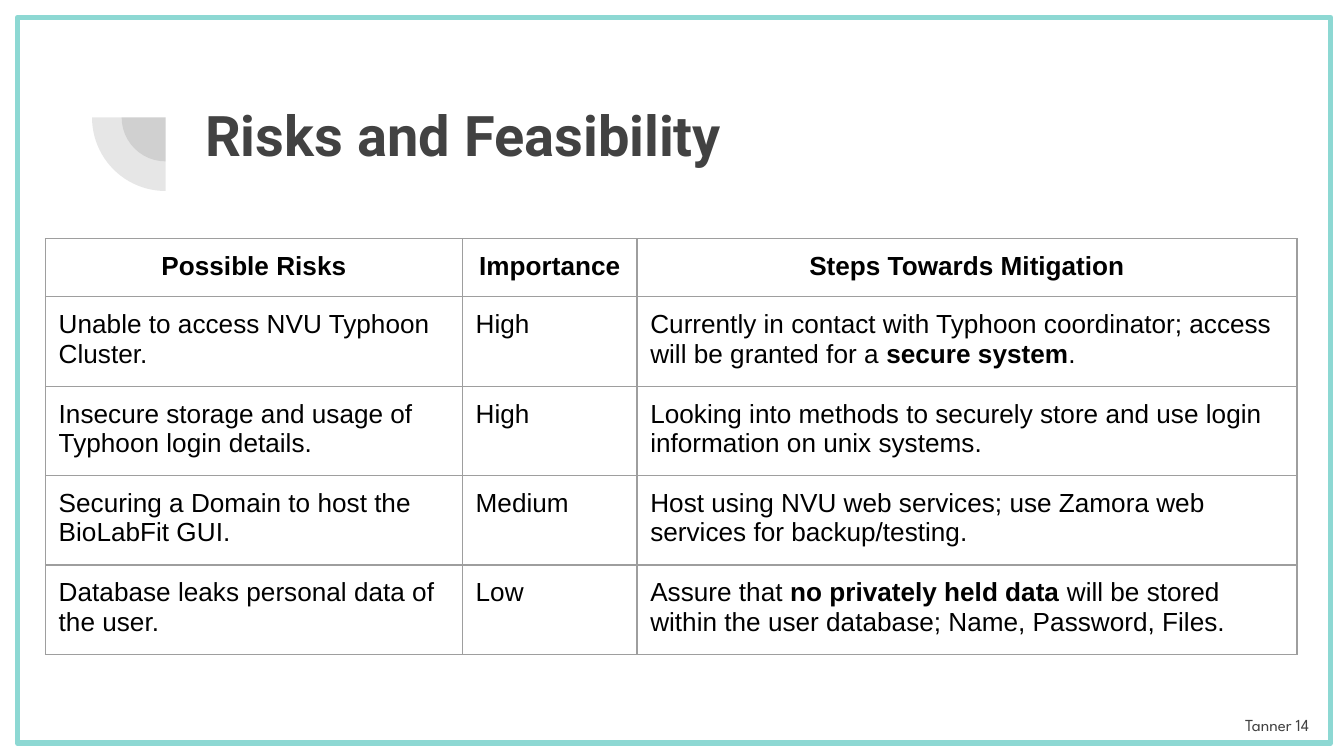
import pptx
import pptx.dml.color
import pptx.enum.shapes
import pptx.enum.text
import pptx.oxml.ns
import pptx.util
from lxml import etree

Cm = pptx.util.Cm
Pt = pptx.util.Pt
SHAPES = pptx.enum.shapes.MSO_SHAPE
ALIGN = pptx.enum.text.PP_ALIGN
ANCHOR = pptx.enum.text.MSO_ANCHOR
qn = pptx.oxml.ns.qn


def color(hex_text):
    return pptx.dml.color.RGBColor.from_string(hex_text)


class SlideBuilder:
    DARK = "424242"
    BLACK = "000000"
    TEAL = "8DD8D3"
    GRID = "9E9E9E"
    INSET = Cm(0.25)

    def __init__(self, slide):
        self.slide = slide

    def frame(self, left, top, width, height):
        shape = self.slide.shapes.add_shape(
            SHAPES.RECTANGLE, Cm(left), Cm(top), Cm(width), Cm(height))
        shape.shadow.inherit = False
        shape.fill.background()
        shape.line.color.rgb = color(self.TEAL)
        shape.line.width = Pt(3)

    def quarter(self, center_x, center_y, radius):
        shape = self.slide.shapes.add_shape(
            SHAPES.PIE, Cm(center_x - radius), Cm(center_y - radius),
            Cm(2 * radius), Cm(2 * radius))
        shape.shadow.inherit = False
        shape.adjustments[0] = 108
        shape.adjustments[1] = 162
        shape.rotation = 270
        shape.line.fill.background()
        shape.fill.solid()
        shape.fill.fore_color.rgb = color(self.DARK)
        rgb = shape.fill._xPr.find(".//" + qn("a:srgbClr"))
        etree.SubElement(rgb, qn("a:alpha"), val="13000")

    def add_runs(self, paragraph, runs, size, font, hex_text):
        for text, bold in runs:
            run = paragraph.add_run()
            run.text = text
            run.font.size = Pt(size)
            run.font.name = font
            run.font.bold = bold
            run.font.color.rgb = color(hex_text)

    def text(self, left, top, width, height, runs, size, font,
             align=ALIGN.LEFT, anchor=ANCHOR.TOP):
        shape = self.slide.shapes.add_textbox(
            Cm(left), Cm(top), Cm(width), Cm(height))
        text_frame = shape.text_frame
        text_frame.word_wrap = True
        text_frame.vertical_anchor = anchor
        text_frame.margin_left = text_frame.margin_right = self.INSET
        text_frame.margin_top = text_frame.margin_bottom = self.INSET
        paragraph = text_frame.paragraphs[0]
        paragraph.alignment = align
        self.add_runs(paragraph, runs, size, font, self.DARK)

    def cell_borders(self, cell):
        properties = cell._tc.get_or_add_tcPr()
        for side in ("a:lnL", "a:lnR", "a:lnT", "a:lnB"):
            line = etree.SubElement(properties, qn(side), w=str(Pt(0.75)))
            fill = etree.SubElement(line, qn("a:solidFill"))
            etree.SubElement(fill, qn("a:srgbClr"), val=self.GRID)

    def table(self, left, top, widths, heights, rows):
        table = self.slide.shapes.add_table(
            len(rows), len(widths), Cm(left), Cm(top),
            Cm(sum(widths)), Cm(sum(heights))).table
        table.first_row = table.horz_banding = False
        for column, width in zip(table.columns, widths):
            column.width = Cm(width)
        for row, height in zip(table.rows, heights):
            row.height = Cm(height)
        for row_index, row in enumerate(rows):
            for column_index, runs in enumerate(row):
                cell = table.cell(row_index, column_index)
                cell.margin_left = cell.margin_right = self.INSET
                cell.margin_top = cell.margin_bottom = self.INSET
                self.cell_borders(cell)
                cell.fill.background()
                paragraph = cell.text_frame.paragraphs[0]
                paragraph.alignment = ALIGN.LEFT if row_index else ALIGN.CENTER
                self.add_runs(paragraph, runs, 14, "Arial", self.BLACK)


def plain(text):
    return [(text, False)]


def strong(text):
    return [(text, True)]


RISKS = [
    [strong("Possible Risks"), strong("Importance"),
     strong("Steps Towards Mitigation")],
    [plain("Unable to access NVU Typhoon Cluster."), plain("High"),
     plain("Currently in contact with Typhoon coordinator; access will be "
           "granted for a ") + strong("secure system") + plain(".")],
    [plain("Insecure storage and usage of Typhoon login details."),
     plain("High"),
     plain("Looking into methods to securely store and use login information "
           "on unix systems.")],
    [plain("Securing a Domain to host the BioLabFit GUI."), plain("Medium"),
     plain("Host using NVU web services; use Zamora web services for "
           "backup/testing.")],
    [plain("Database leaks personal data of the user."), plain("Low"),
     plain("Assure that ") + strong("no privately held data")
     + plain(" will be stored within the user database; Name, Password, "
             "Files.")],
]


def main():
    presentation = pptx.Presentation()
    presentation.slide_width = Cm(25.4)
    presentation.slide_height = Cm(14.29)
    slide = presentation.slides.add_slide(presentation.slide_layouts[6])
    builder = SlideBuilder(slide)

    # Frame and corner ornament
    builder.frame(0.33, 0.33, 24.82, 13.72)
    for radius in (0.83, 1.39):
        builder.quarter(3.13, 2.22, radius)

    # Title
    builder.text(3.63, 1.65, 19.53, 2.77, strong("Risks and Feasibility"),
                 30, "Roboto")

    # Risk table
    builder.table(0.86, 4.51, [7.88, 3.3, 12.47], [1.1] + [1.69] * 4, RISKS)

    # Footer
    builder.text(22.83, 13.16, 2.16, 1.09, plain("Tanner 14"), 9,
                 "League Spartan", ALIGN.RIGHT, ANCHOR.MIDDLE)

    presentation.save("out.pptx")


if __name__ == "__main__":
    main()
